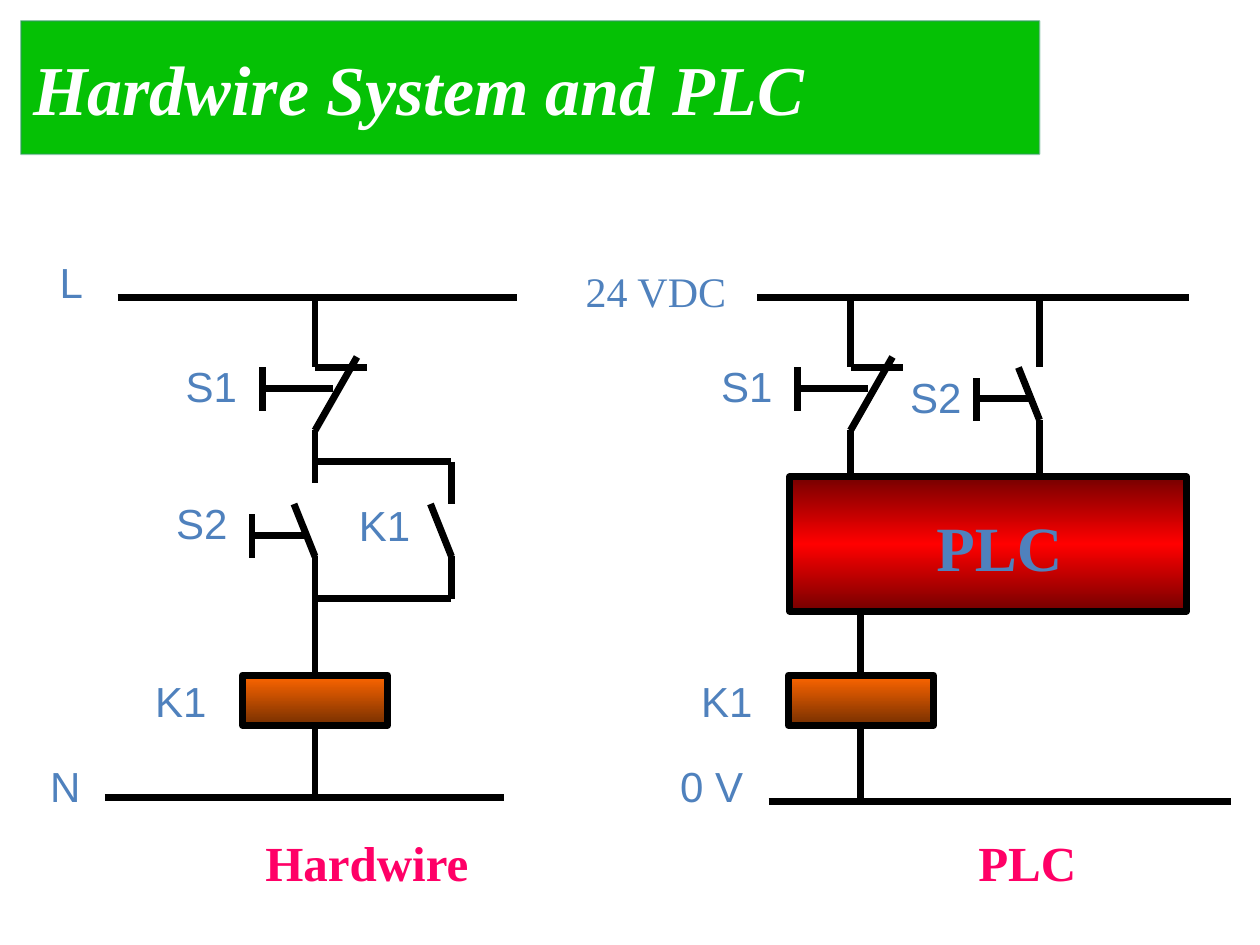
import copy
from dataclasses import dataclass

import pptx
import pptx.dml.color
import pptx.enum.dml
import pptx.enum.shapes
import pptx.enum.text
import pptx.oxml
import pptx.oxml.ns
import pptx.util

RGBColor = pptx.dml.color.RGBColor
BLACK = RGBColor(0x00, 0x00, 0x00)
WHITE = RGBColor(0xFF, 0xFF, 0xFF)
GREEN = RGBColor(0x05, 0xC1, 0x05)
BORDER_GREEN = RGBColor(0x33, 0x99, 0x66)
LABEL_BLUE = RGBColor(0x4F, 0x81, 0xBD)
PINK = RGBColor(0xFF, 0x00, 0x66)
ORANGE = RGBColor(0xFF, 0x66, 0x00)
BROWN = RGBColor(0x76, 0x2F, 0x00)
RED = RGBColor(0xFF, 0x00, 0x00)
DARK_RED = RGBColor(0x76, 0x00, 0x00)

SANS, SERIF = "Arial", "Times New Roman"
COIL_TOP, COIL_WIDTH, COIL_HEIGHT = 40.3, 13.8, 4.8


def cells(count):
    """Length of grid cells, twelve to the inch."""
    return pptx.util.Inches(count / 12)


@dataclass
class Box:
    """A region of the slide; its parts are placed in cells from its corner."""
    slide: object
    left: float
    top: float

    def at(self, x, y):
        return cells(self.left + x), cells(self.top + y)


def wire(box, x1, y1, x2, y2):
    line = box.slide.shapes.add_connector(
        pptx.enum.shapes.MSO_CONNECTOR.STRAIGHT, *box.at(x1, y1), *box.at(x2, y2))
    line.line.color.rgb = BLACK
    line.line.width = pptx.util.Pt(4)
    line._element.spPr.append(pptx.oxml.parse_xml(
        "<a:effectLst %s/>" % pptx.oxml.ns.nsdecls("a")))
    return line


def write(frame, text, size, font, color, bold=False, italic=False):
    frame.text = text
    style = frame.paragraphs[0].runs[0].font
    style.size, style.name = pptx.util.Pt(size), font
    style.bold, style.italic = bold, italic
    style.color.rgb = color
    frame.paragraphs[0].alignment = pptx.enum.text.PP_ALIGN.LEFT


def label(box, text, x, y, width=7.3, height=6, size=24, font=SANS,
          color=LABEL_BLUE, bold=False, wrap=False):
    frame = box.slide.shapes.add_textbox(
        *box.at(x, y), cells(width), cells(height)).text_frame
    frame.word_wrap = wrap
    frame.auto_size = pptx.enum.text.MSO_AUTO_SIZE.SHAPE_TO_FIT_TEXT
    write(frame, text, size, font, color, bold)


def rectangle(box, x, y, width, height):
    shape = box.slide.shapes.add_shape(
        pptx.enum.shapes.MSO_SHAPE.RECTANGLE, *box.at(x, y), cells(width), cells(height))
    shape.shadow.inherit = False
    return shape


def gradient_block(box, x, y, width, height, colors):
    """Black-edged block, shaded evenly from top to bottom."""
    block = rectangle(box, x, y, width, height)
    block.line.color.rgb = BLACK
    block.line.width = pptx.util.Pt(4)
    block.fill.gradient()
    block.fill.gradient_angle = 270
    stops = block._element.spPr.find(".//" + pptx.oxml.ns.qn("a:gsLst"))
    while len(stops) < len(colors):
        stops.append(copy.deepcopy(stops[-1]))
    for i, (stop, color) in enumerate(zip(block.fill.gradient_stops, colors)):
        stop.color.rgb = color
        stop.position = i / (len(colors) - 1)
    return block


def push_button(box, x, y, stem_end):
    wire(box, x, y, x, y + 4.1)
    wire(box, stem_end, y + 2, x, y + 2)


def break_contact(box, x, lead_end):
    """Normally closed button S1 hanging from the upper rail."""
    wire(box, x, 4, x, 11)
    wire(box, x, 11, x + 5, 11)
    wire(box, x + 4, 10, x, 17)
    wire(box, x, 17, x, lead_end)
    push_button(box, x - 5, 11, x + 1.7)
    label(box, "S1", x - 13.5, 9.7)


def make_contact(box, x, y, label_x, label_y):
    """Normally open button S2."""
    wire(box, x - 2, y, x, y + 5)
    push_button(box, x - 6, y + 1, x - 1)
    label(box, "S2", label_x, label_y)


def coil(box, x, feed_start):
    """Coil K1 wired between its feed and the lower rail."""
    block = gradient_block(box, x - COIL_WIDTH / 2, COIL_TOP,
                           COIL_WIDTH, COIL_HEIGHT, [ORANGE, BROWN])
    feed = wire(box, x, feed_start, x, COIL_TOP)
    feed.end_connect(block, 0)
    drain = wire(box, x, COIL_TOP + COIL_HEIGHT, x, 52)
    drain.begin_connect(block, 2)
    label(box, "K1", x - 16.4, 39.7)


def title_banner(box):
    banner = rectangle(box, 0, 0, 97, 12.7)
    banner.fill.solid()
    banner.fill.fore_color.rgb = GREEN
    banner.line.color.rgb = BORDER_GREEN
    banner.line.width = pptx.util.Pt(1)
    edge_color = banner.line._ln.find(".//" + pptx.oxml.ns.qn("a:srgbClr"))
    edge_color.append(pptx.oxml.parse_xml(
        '<a:alpha %s val="50000"/>' % pptx.oxml.ns.nsdecls("a")))
    banner.text_frame.word_wrap = True
    banner.text_frame.vertical_anchor = pptx.enum.text.MSO_ANCHOR.MIDDLE
    write(banner.text_frame, "Hardwire System and PLC", 40, SERIF, WHITE, True, True)


def hardwire_circuit(box):
    main, branch = 30, 43

    # Supply rails
    wire(box, 11.2, 4.3, 49.2, 4.3)
    wire(box, 10, 52, 48, 52)
    label(box, "L", 4.5, -0.2, 4.6)
    label(box, "N", 3.6, 47.8, 5.3)

    # Main line
    break_contact(box, main, 22)
    make_contact(box, main, 24, 15.6, 22.8)
    coil(box, main, 29)

    # Holding contact in parallel with S2
    wire(box, main, 20, branch, 20)
    wire(box, branch, 20, branch, 24)
    wire(box, branch - 2, 24, branch, 29)
    wire(box, branch, 29, branch, 33)
    wire(box, main, 33, branch, 33)
    label(box, "K1", 33, 23)

    label(box, "Hardwire", 24.1, 54.7, 21.8, 6.7, 28, SERIF, PINK, True)


def plc_circuit(box):
    stop_input, start_input, output = 30, 48, 31

    # Supply rails
    wire(box, 21.1, 4.3, 62.2, 4.3)
    wire(box, 22.2, 52.3, 66.2, 52.3)
    label(box, "24 VDC", 3.6, 0.7, 15.8, font=SERIF)
    label(box, "0 V", 12.6, 47.8, 8.4)

    # Controller
    gradient_block(box, 24.2, 21.4, 37.8, 12.8, [DARK_RED, RED, DARK_RED])
    label(box, "PLC", 37, 23.8, 19.8, 8.4, 36, SERIF, bold=True, wrap=True)

    # Inputs
    break_contact(box, stop_input, 21)
    wire(box, start_input, 4, start_input, 11)
    make_contact(box, start_input, 11, 34.5, 10.8)
    wire(box, start_input, 16, start_input, 21)

    # Output
    coil(box, output, 34)

    label(box, "PLC", 41, 54.7, 11.8, 6.7, 28, SERIF, PINK, True)


def main():
    deck = pptx.Presentation()
    deck.slide_width, deck.slide_height = cells(120), cells(90)
    slide = deck.slides.add_slide(deck.slide_layouts[6])
    title_banner(Box(slide, 2, 2))
    hardwire_circuit(Box(slide, 0, 24))
    plc_circuit(Box(slide, 51, 24))
    deck.save("out.pptx")


if __name__ == "__main__":
    main()
